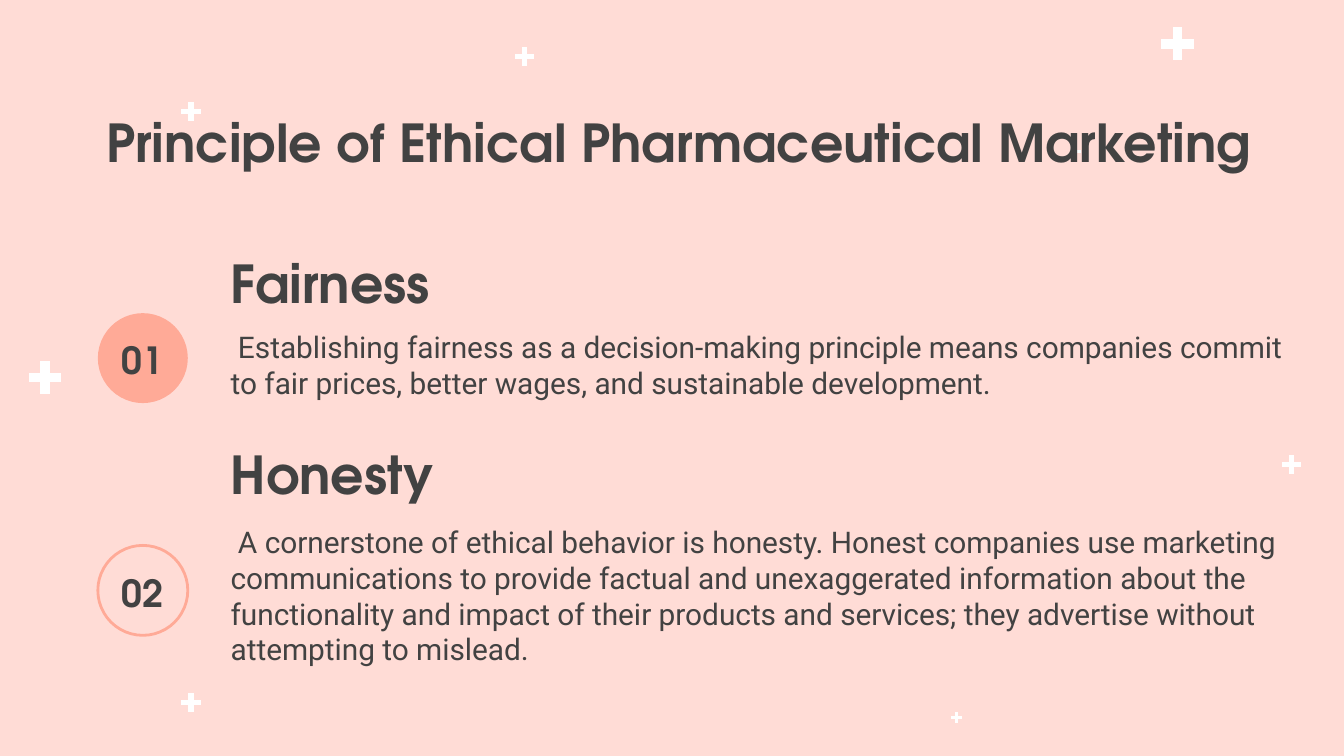
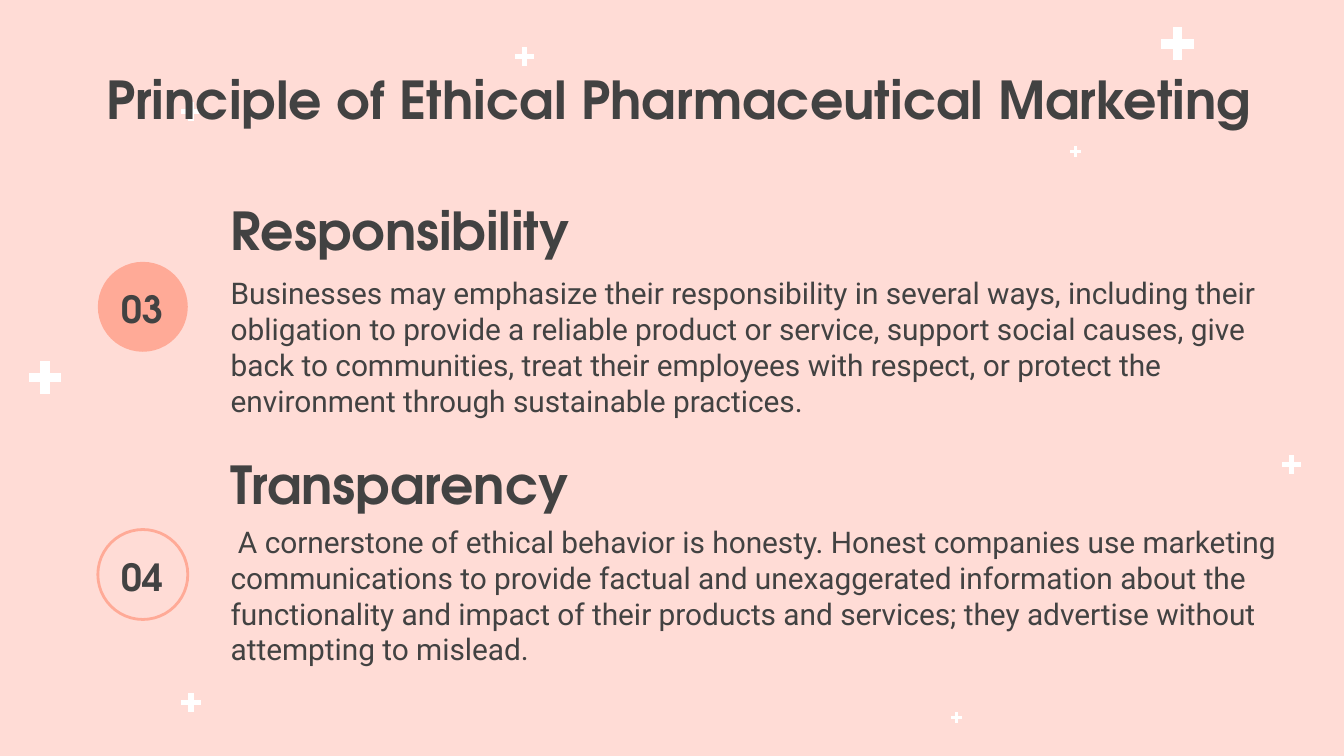
from pptx import Presentation
from pptx.dml.color import RGBColor
from pptx.enum.shapes import MSO_SHAPE
from pptx.enum.text import MSO_ANCHOR, PP_ALIGN
from pptx.util import Cm, Pt

PINK, CORAL, DARK, WHITE = "FFDCD6", "FFAA97", "424242", "FFFFFF"
HEAD_FONT, BODY_FONT = "TeX Gyre Adventor", "Roboto"
TITLE = "Principle of Ethical Pharmaceutical Marketing"
BIG, SMALL, TINY = 0.62, 0.37, 0.21
CROSSES = [
    (22.25, 0.83, BIG), (3.61, 2.11, SMALL), (9.91, 1.07, SMALL), (20.33, 2.86, TINY),
    (0.85, 7.14, BIG), (24.41, 8.78, SMALL), (18.08, 13.56, TINY), (3.61, 13.28, SMALL),
]
BADGE_X, BADGE_SIZE, TEXT_X, LINE_BOX = 1.85, 1.7, 4.11, 1.07
HONESTY = (
    " A cornerstone of ethical behavior is honesty. Honest companies use marketing "
    "communications to provide factual and unexaggerated information about the "
    "functionality and impact of their products and services; they advertise without "
    "attempting to mislead."
)
FAIRNESS = (
    " Establishing fairness as a decision-making principle means companies commit "
    "to fair prices, better wages, and sustainable development."
)
RESPONSIBILITY = (
    "Businesses may emphasize their responsibility in several ways, including their "
    "obligation to provide a reliable product or service, support social causes, give "
    "back to communities, treat their employees with respect, or protect the "
    "environment through sustainable practices."
)
SLIDES = [
    (1.83, [("01", "Fairness", FAIRNESS, 5.92, 4.8, 5.97),
            ("02", "Honesty", HONESTY, 10.31, 8.41, 9.65)]),
    (1.02, [("03", "Responsibility", RESPONSIBILITY, 4.95, 3.81, 4.95),
            ("04", "Transparency", HONESTY, 10.01, 8.61, 9.65)]),
]


def paint(fill, color):
    """Make a fill solid in a hex colour."""
    fill.solid()
    fill.fore_color.rgb = RGBColor.from_string(color)


def add_text(s, text, x, y, w, h, *, size, font=HEAD_FONT, bold=True,
             align=PP_ALIGN.LEFT, anchor=MSO_ANCHOR.MIDDLE):
    """Add a wrapped text box holding one formatted run."""
    tf = s.shapes.add_textbox(Cm(x), Cm(y), Cm(w), Cm(h)).text_frame
    tf.word_wrap = True
    tf.vertical_anchor = anchor
    tf.margin_left = tf.margin_right = tf.margin_top = tf.margin_bottom = Cm(0.25)
    p = tf.paragraphs[0]
    p.alignment = align
    r = p.add_run()
    r.text = text
    r.font.name, r.font.size, r.font.bold = font, Pt(size), bold
    r.font.color.rgb = RGBColor.from_string(DARK)


def add_bar(shapes, cx, cy, w, h):
    """Add a white bar centred on a point."""
    left, right = Cm(cx - w / 2), Cm(cx + w / 2)
    top, bottom = Cm(cy - h / 2), Cm(cy + h / 2)
    outline = shapes.build_freeform(right, top)
    outline.add_line_segments([(right, bottom), (left, bottom), (left, top)])
    sp = outline.convert_to_shape()
    sp.shadow.inherit = False
    sp.line.fill.background()
    paint(sp.fill, WHITE)


def add_cross(s, cx, cy, size):
    """Add a plus sign as a group of two bars."""
    shapes = s.shapes.add_group_shape().shapes
    thickness = 0.29 * size
    add_bar(shapes, cx, cy, thickness, size)
    add_bar(shapes, cx, cy, size, thickness)


def add_badge(s, number, y, filled):
    """Add a numbered circle, either filled or outlined."""
    sp = s.shapes.add_shape(MSO_SHAPE.OVAL, Cm(BADGE_X), Cm(y), Cm(BADGE_SIZE), Cm(BADGE_SIZE))
    sp.shadow.inherit = False
    if filled:
        paint(sp.fill, CORAL)
        sp.line.fill.background()
    else:
        sp.fill.background()
        paint(sp.line.fill, CORAL)
        sp.line.width = Pt(1.5)
    add_text(s, number, BADGE_X, y + 0.35, BADGE_SIZE, LINE_BOX, size=20, align=PP_ALIGN.CENTER)


def add_principle(s, number, heading, body, badge_y, heading_y, body_y, filled):
    """Add a badge with its heading and explanation."""
    add_badge(s, number, badge_y, filled)
    add_text(s, heading, TEXT_X, heading_y, 14.53, LINE_BOX, size=28)
    add_text(s, body, TEXT_X, body_y, 20.75, LINE_BOX, size=16, font=BODY_FONT,
             bold=False, anchor=MSO_ANCHOR.TOP)


def add_slide(prs, title_y, principles):
    """Add a slide with crosses, title and its principles."""
    s = prs.slides.add_slide(prs.slide_layouts[6])
    paint(s.background.fill, PINK)
    for cross in CROSSES:
        add_cross(s, *cross)
    add_text(s, TITLE, 1.27, title_y, 23.11, 1.6, size=28,
             align=PP_ALIGN.CENTER, anchor=MSO_ANCHOR.TOP)
    for i, principle in enumerate(principles):
        add_principle(s, *principle, filled=i == 0)


def main():
    """Build and save the presentation."""
    prs = Presentation()
    prs.slide_width, prs.slide_height = Cm(25.4), Cm(14.29)
    for title_y, principles in SLIDES:
        add_slide(prs, title_y, principles)
    prs.save("out.pptx")


if __name__ == "__main__":
    main()
